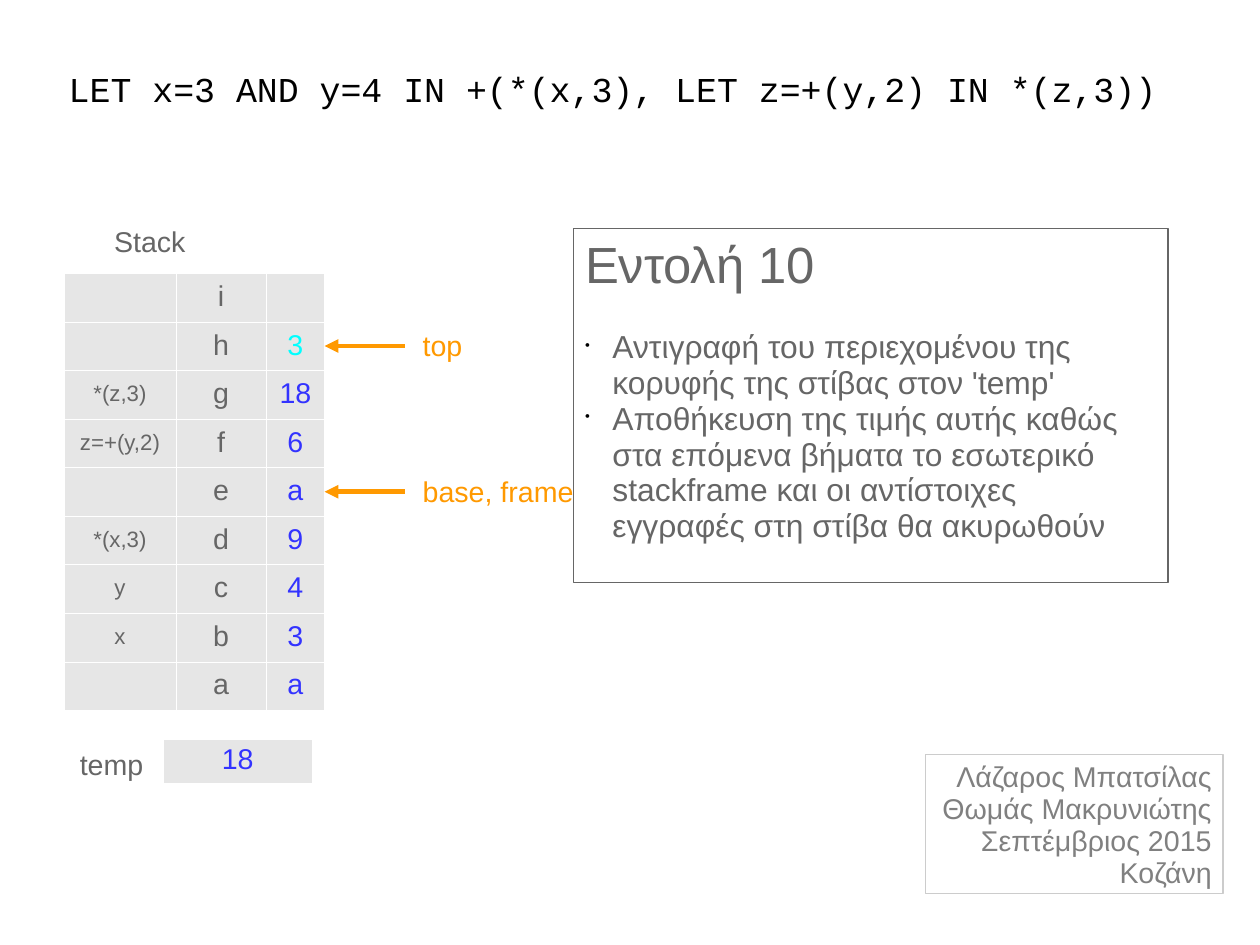
"""Build the slide that shows the stack while instruction 10 of a LET program runs."""
from lxml import etree
from pptx import Presentation
from pptx.dml.color import RGBColor
from pptx.enum.shapes import MSO_CONNECTOR, MSO_SHAPE
from pptx.enum.text import MSO_ANCHOR, PP_ALIGN
from pptx.oxml.ns import qn
from pptx.util import Cm, Inches, Pt

LEFT, CENTER, RIGHT = PP_ALIGN.LEFT, PP_ALIGN.CENTER, PP_ALIGN.RIGHT
TOP, MIDDLE = MSO_ANCHOR.TOP, MSO_ANCHOR.MIDDLE
RECTANGLE, STRAIGHT = MSO_SHAPE.RECTANGLE, MSO_CONNECTOR.STRAIGHT
BLACK = RGBColor(0x00, 0x00, 0x00)
GRAY = RGBColor(0x66, 0x66, 0x66)
CREDIT_GRAY = RGBColor(0x80, 0x80, 0x80)
FRAME_GRAY = RGBColor(0xCC, 0xCC, 0xCC)
CELL_GRAY = RGBColor(0xE6, 0xE6, 0xE6)
BLUE = RGBColor(0x33, 0x33, 0xFF)
CYAN = RGBColor(0x00, 0xFF, 0xFF)
ORANGE = RGBColor(0xFF, 0x99, 0x00)
UNIT = Inches(0.1)


def grid(*steps):
    """Turn steps of the slide grid into lengths."""
    return [round(step * UNIT) for step in steps]


def write(frame, lines, size, color, align=LEFT, font="Arial"):
    """Fill a text frame with evenly formatted paragraphs."""
    frame.text = "\n".join(lines)
    for paragraph in frame.paragraphs:
        paragraph.alignment = align
        paragraph.line_spacing = 0.94
        for run in paragraph.runs:
            run.font.name = font
            run.font.size = Pt(size)
            run.font.color.rgb = color


presentation = Presentation()
presentation.slide_width = Cm(28)
presentation.slide_height = Cm(21)
slide = presentation.slides.add_slide(presentation.slide_layouts[6])
shapes = slide.shapes

program = shapes.add_textbox(*grid(4, 3.9, 99.2, 8.1)).text_frame
program.word_wrap = True
program.vertical_anchor = MIDDLE
program.margin_left = program.margin_right = program.margin_top = program.margin_bottom = 0
write(program, ["LET x=3 AND y=4 IN +(*(x,3), LET z=+(y,2) IN *(z,3))"],
      22, BLACK, CENTER, "Courier New")

stack_left, stack_top, stack_row = 5.6, 23.9, 4.25
stack_columns = [(9.8, 14, GRAY), (7.9, 18, GRAY), (5.1, 18, BLUE)]
stack_right = stack_left + sum(width for width, _, _ in stack_columns)
stack_rows = [
    ("", "i", ""),
    ("", "h", "3"),
    ("*(z,3)", "g", "18"),
    ("z=+(y,2)", "f", "6"),
    ("", "e", "a"),
    ("*(x,3)", "d", "9"),
    ("y", "c", "4"),
    ("x", "b", "3"),
    ("", "a", "a"),
]
top_row, base_row = 1, 4

memory = [
    (stack_left, stack_top, stack_row, stack_columns, stack_rows, MIDDLE),
    (14.3, 64.7, 3.8, [(13, 18, BLUE)], [("18",)], TOP),
]
tables = []
for left, top, row_height, columns, rows, anchor in memory:
    width = sum(column[0] for column in columns)
    table = shapes.add_table(len(rows), len(columns),
                             *grid(left, top, width, row_height * len(rows))).table
    table.first_row = table.horz_banding = False
    tables.append(table)
    for row, values in zip(table.rows, rows):
        row.height = grid(row_height)[0]
        for cell, value, (_, size, color) in zip(row.cells, values, columns):
            for side in ("a:lnL", "a:lnR", "a:lnT", "a:lnB"):
                border = etree.SubElement(cell._tc.get_or_add_tcPr(), qn(side), w=str(Pt(0.06)))
                paint = etree.SubElement(border, qn("a:solidFill"))
                etree.SubElement(paint, qn("a:srgbClr"), val="FFFFFF")
            cell.fill.solid()
            cell.fill.fore_color.rgb = CELL_GRAY
            cell.vertical_anchor = anchor
            write(cell.text_frame, [value], size, color, CENTER)
    for column, (column_width, _, _) in zip(table.columns, columns):
        column.width = grid(column_width)[0]

top_value = tables[0].cell(top_row, 2).text_frame.paragraphs[0].runs[0]
top_value.font.color.rgb = CYAN

labels = [("Stack", 9, 19.2, 12, GRAY), ("temp", 6, 65, 12, GRAY)]
for pointer, row_index in (("base, frame", base_row), ("top", top_row)):
    level = stack_top + (row_index + 0.5) * stack_row
    labels.append((pointer, 36, level - 1.9, 24, ORANGE))
    arrow = shapes.add_connector(STRAIGHT, *grid(stack_right, level, stack_right + 7, level))
    arrow.line.color.rgb = ORANGE
    arrow.line.width = Pt(2.89)
    etree.SubElement(arrow.line._get_or_add_ln(), qn("a:headEnd"), type="triangle")
    etree.SubElement(arrow._element.spPr, qn("a:effectLst"))

for caption, left, top, width, color in labels:
    label = shapes.add_textbox(*grid(left, top, width, 3.8)).text_frame
    label.word_wrap = True
    label.margin_top = Inches(0.06)
    write(label, [caption], 18, color)

credits = ["Λάζαρος Μπατσίλας", "Θωμάς Μακρυνιώτης", "Σεπτέμβριος 2015", "Κοζάνη"]
instruction = [
    "Εντολή 10",
    "Αντιγραφή του περιεχομένου της κορυφής της στίβας στον 'temp'",
    "Αποθήκευση της τιμής αυτής καθώς στα επόμενα βήματα το εσωτερικό "
    "stackframe και οι αντίστοιχες εγγραφές στη στίβα θα ακυρωθούν",
]
panels = [
    ((81, 66, 26, 12.2), FRAME_GRAY, 0.06, credits, 18, CREDIT_GRAY, RIGHT),
    ((50.2, 20, 52, 31), GRAY, 0.08, instruction, 20, GRAY, LEFT),
]
for area, outline, inset, lines, size, color, align in panels:
    panel = shapes.add_shape(RECTANGLE, *grid(*area))
    panel.shadow.inherit = False
    panel.fill.background()
    panel.line.color.rgb = outline
    panel.line.width = Pt(0.75)
    body = panel.text_frame
    body.word_wrap = True
    body.vertical_anchor = TOP
    body.margin_top = Inches(inset)
    write(body, lines, size, color, align)

heading, *steps = body.paragraphs
heading.runs[0].font.size = Pt(32)
heading.space_after = Pt(22)
for step in steps:
    properties = step._p.get_or_add_pPr()
    properties.set("marL", str(Inches(0.24)))
    properties.set("indent", str(-Inches(0.24)))
    bullet_color = etree.SubElement(properties, qn("a:buClr"))
    etree.SubElement(bullet_color, qn("a:srgbClr"), val="000000")
    etree.SubElement(properties, qn("a:buSzPct"), val="45000")
    etree.SubElement(properties, qn("a:buChar"), char="•")

presentation.save("out.pptx")
